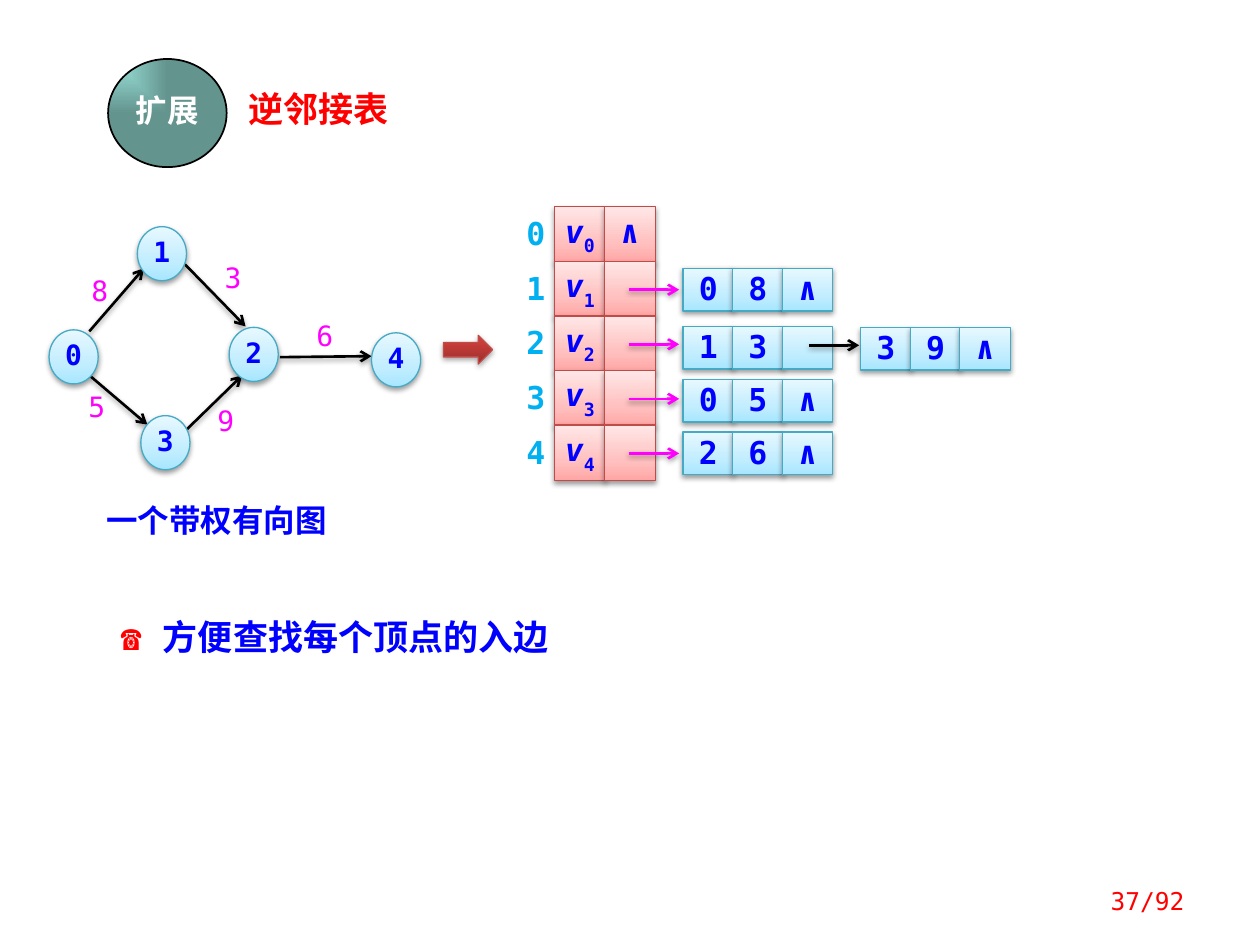
from lxml import etree
from pptx import Presentation
from pptx import util as u
from pptx.dml.color import RGBColor
from pptx.enum import shapes, text
from pptx.oxml import ns

BLUE = RGBColor(0x00, 0x00, 0xFF)
RED = RGBColor(0xFF, 0x00, 0x00)
CYAN = RGBColor(0x00, 0xB0, 0xF0)
PINK = RGBColor(0xFF, 0x00, 0xFF)
BLACK = RGBColor(0x00, 0x00, 0x00)
WHITE = RGBColor(0xFF, 0xFF, 0xFF)
TEAL_EDGE = RGBColor(0x46, 0xAA, 0xC5)
RED_EDGE = RGBColor(0xBF, 0x4C, 0x48)
SKY = [(0, RGBColor(0xA7, 0xE6, 0xFF)), (35, RGBColor(0xC1, 0xED, 0xFF)),
       (100, RGBColor(0xE7, 0xF8, 0xFF))]
ROSE = [(0, RGBColor(0xFF, 0xA6, 0xA5)), (35, RGBColor(0xFF, 0xC0, 0xBF)),
        (100, RGBColor(0xFF, 0xE7, 0xE7))]
BRICK = [(0, RGBColor(0x9C, 0x2F, 0x2D)), (80, RGBColor(0xCB, 0x3E, 0x3A)),
         (100, RGBColor(0xCE, 0x3B, 0x37))]
JADE = [(0, RGBColor(0x9C, 0xE6, 0xDD)), (100, RGBColor(0x64, 0x94, 0x8E))]
MONO, HAN = "DejaVu Sans Mono", "Noto Sans CJK SC"
CENTER, LEFT, RIGHT = text.PP_ALIGN.CENTER, text.PP_ALIGN.LEFT, text.PP_ALIGN.RIGHT
TOP, MIDDLE = text.MSO_ANCHOR.TOP, text.MSO_ANCHOR.MIDDLE
RECT, OVAL = shapes.MSO_SHAPE.RECTANGLE, shapes.MSO_SHAPE.OVAL
FRAME = {"word_wrap": True, "vertical_anchor": TOP}
TIGHT = FRAME | dict.fromkeys(
    ["margin_left", "margin_top", "margin_right", "margin_bottom"], 0)
ROOMY = TIGHT | {"margin_top": u.Cm(0.1)}
GROW = FRAME | {"auto_size": text.MSO_AUTO_SIZE.SHAPE_TO_FIT_TEXT}
CENTERED = {"alignment": CENTER}
CELL_LINE = CENTERED | {"line_spacing": u.Pt(22)}
FLUSH = {"alignment": LEFT, "space_before": u.Pt(0)}
STRONG = {"name": MONO, "size": u.Pt(18), "bold": True}


def write(box, spans, frame, layout, font):
    for key, value in frame.items():
        setattr(box.text_frame, key, value)
    para = box.text_frame.paragraphs[0]
    for key, value in layout.items():
        setattr(para, key, value)
    for words, color, extra in spans:
        span = para.add_run()
        span.text = words
        for key, value in (font | extra).items():
            setattr(span.font, key, value)
        span.font.color.rgb = color
        etree.SubElement(span.font._element, ns.qn("a:ea"), typeface=span.font.name)


def paint(item, edge, width, stops=None, shadow=38, corner=False):
    if edge is None:
        item.line.fill.background()
    else:
        item.line.color.rgb = edge
        item.line.width = u.Pt(width)
    properties = item._element.spPr
    if stops:
        item.fill.gradient()
        gradient = properties.find(ns.qn("a:gradFill"))
        gradient.clear()
        listing = etree.SubElement(gradient, ns.qn("a:gsLst"))
        for place, color in stops:
            stop = etree.SubElement(listing, ns.qn("a:gs"), pos=str(place * 1000))
            etree.SubElement(stop, ns.qn("a:srgbClr"), val=str(color))
        if corner:
            route = etree.SubElement(gradient, ns.qn("a:path"), path="rect")
            etree.SubElement(route, ns.qn("a:fillToRect"), r="100000", b="100000")
        else:
            etree.SubElement(gradient, ns.qn("a:lin"), ang="16200000", scaled="0")
    effects = etree.SubElement(properties, ns.qn("a:effectLst"))
    if shadow:
        cast = etree.SubElement(effects, ns.qn("a:outerShdw"), blurRad="39370",
                                dist="20320", dir="5400000", rotWithShape="0")
        tone = etree.SubElement(cast, ns.qn("a:srgbClr"), val=str(BLACK))
        etree.SubElement(tone, ns.qn("a:alpha"), val=str(shadow * 1000))


deck = Presentation()
deck.slide_width, deck.slide_height = u.Cm(25.4), u.Cm(19.05)
page = deck.slides.add_slide(deck.slide_layouts[1])
title, body = page.placeholders
for holder, left, top, width in [(title, 4.75, 1.63, 4.57), (body, 2.18, 12.29, 11.13)]:
    holder.left, holder.top = u.Cm(left), u.Cm(top)
    holder.width, holder.height = u.Cm(width), u.Cm(1.12)
bullet_home = body.text_frame.paragraphs[0]._p.get_or_add_pPr()
bullet_home.set("marL", "0")
bullet_home.set("indent", "0")
etree.SubElement(bullet_home, ns.qn("a:buNone"))
heading = STRONG | {"size": u.Pt(20)}
write(title, [("逆邻接表", RED, {"name": HAN})], GROW, FLUSH, heading)
write(body, [("☎ ", RED, {}), ("方便查找每个顶点的入边", BLUE, {})], GROW, FLUSH, heading)

table = page.shapes.add_group_shape().shapes
graph = page.shapes.add_group_shape().shapes

labels = [(table, str(row), 10.54, 4.32 + 1.1 * row, 0.53, 0.71, CYAN) for row in range(5)]
labels.append((graph, "一个带权有向图", 1.5, 10.11, 5.72, 0.79, BLUE))
for group, words, left, top, width, height, color in labels:
    box = group.add_shape(RECT, u.Cm(left), u.Cm(top), u.Cm(width), u.Cm(height))
    paint(box, None, 0, shadow=0)
    box.fill.solid()
    box.fill.fore_color.rgb = WHITE
    write(box, [(words, color, {})], TIGHT, CENTERED, STRONG)

for row in range(5):
    vertex = [("v", BLUE, {"italic": True}), (str(row), BLUE, {})]
    pointer = [("∧", BLUE, {})] if row == 0 else []
    for left, spans in [(11.18, vertex), (12.19, pointer)]:
        box = table.add_shape(RECT, u.Cm(left), u.Cm(4.17 + 1.1 * row), u.Cm(1.02), u.Cm(1.12))
        paint(box, RED_EDGE, 0.75, ROSE)
        write(box, spans, ROOMY, CENTERED, STRONG)
        if spans is vertex:
            box.text_frame.paragraphs[0].runs[1].font._element.set("baseline", "-30000")

edge_lists = [(13.77, 5.41, ["0", "8", "∧"]), (13.77, 6.58, ["1", "3", ""]),
              (13.77, 7.65, ["0", "5", "∧"]), (13.77, 8.71, ["2", "6", "∧"]),
              (17.35, 6.6, ["3", "9", "∧"])]
for left, top, values in edge_lists:
    for column, value in enumerate(values):
        box = table.add_shape(RECT, u.Cm(left + column), u.Cm(top), u.Cm(1.02), u.Cm(0.86))
        paint(box, TEAL_EDGE, 0.75, SKY)
        spans = [(value, BLUE, {})] if value else []
        write(box, spans, TIGHT, CELL_LINE, STRONG)

arrows = [(table, PINK, 12.67, 4.74 + 1.1 * row, 13.69, 4.74 + 1.1 * row)
          for row in range(1, 5)]
arrows += [(table, BLACK, 16.31, 6.96, 17.32, 6.96),
           (graph, BLACK, 3.73, 8.69, 4.88, 7.57),
           (graph, BLACK, 1.83, 7.59, 2.97, 8.56),
           (graph, BLACK, 3.73, 5.33, 4.95, 6.58),
           (graph, BLACK, 1.8, 6.68, 2.9, 5.41),
           (graph, BLACK, 5.64, 7.2, 7.49, 7.18)]
for group, color, *ends in arrows:
    arrow = group.add_connector(shapes.MSO_CONNECTOR.STRAIGHT, *map(u.Cm, ends))
    paint(arrow, color, 1.5)
    etree.SubElement(arrow.line._get_or_add_ln(), ns.qn("a:tailEnd"), type="arrow")

nodes = [("1", 2.77, 4.57), ("0", 0.99, 6.65), ("3", 2.84, 8.38),
         ("2", 4.62, 6.6), ("4", 7.49, 6.71)]
for name, left, top in nodes:
    node = graph.add_shape(OVAL, u.Cm(left), u.Cm(top), u.Cm(0.99), u.Cm(1.09))
    paint(node, TEAL_EDGE, 0.75, SKY)
    write(node, [(name, BLUE, {})], TIGHT, CENTERED, STRONG | {"size": u.Pt(16)})

weights = [("9", 4.17, 8.13), ("5", 1.57, 7.85), ("8", 1.63, 5.51),
           ("3", 4.32, 5.26), ("6", 6.17, 6.43)]
for weight, left, top in weights:
    box = graph.add_textbox(u.Cm(left), u.Cm(top), u.Cm(0.76), u.Cm(0.66))
    write(box, [(weight, PINK, {})], TIGHT, CENTERED, {"name": MONO, "size": u.Pt(16)})

block_arrow = page.shapes.add_shape(
    shapes.MSO_SHAPE.RIGHT_ARROW, u.Cm(8.94), u.Cm(6.76), u.Cm(0.99), u.Cm(0.58))
paint(block_arrow, RED_EDGE, 0.75, BRICK, shadow=35)

badge = page.shapes.add_shape(OVAL, u.Cm(2.18), u.Cm(1.19), u.Cm(2.39), u.Cm(2.18))
paint(badge, BLACK, 1, JADE, shadow=0, corner=True)
write(badge, [("扩展", WHITE, {"name": HAN})],
      {"word_wrap": False, "vertical_anchor": MIDDLE},
      CENTERED | {"line_spacing": 0.8}, STRONG)

page_number = page.shapes.add_textbox(u.Cm(21.03), u.Cm(17.65), u.Cm(3.1), u.Cm(1.02))
write(page_number, [("37/92", RED, {})], FRAME | {"vertical_anchor": MIDDLE},
      {"alignment": RIGHT}, {"name": MONO, "size": u.Pt(14)})

deck.save("out.pptx")
